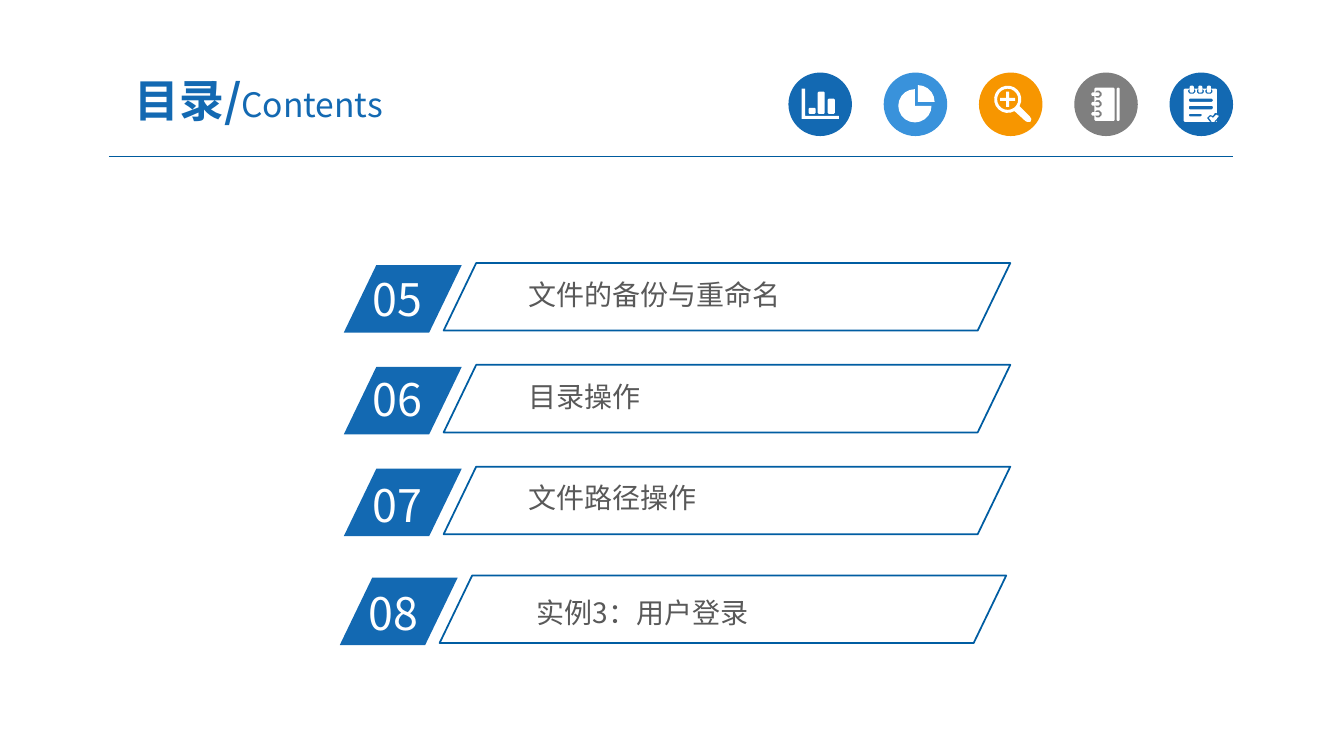
from math import cos, radians, sin

from lxml.etree import SubElement
from pptx import Presentation
from pptx.dml.color import RGBColor
from pptx.enum.shapes import MSO_CONNECTOR, MSO_SHAPE
from pptx.enum.text import MSO_ANCHOR, PP_ALIGN
from pptx.oxml.ns import qn
from pptx.util import Inches, Pt

FONT = "Noto Sans CJK SC"
COLORS = {name: RGBColor.from_string(code) for name, code in {
    "blue": "1369B2", "sky": "3992DB", "orange": "F79600", "gray": "7F7F7F",
    "white": "FFFFFF", "text": "595959", "outline": "005DA2", "rule": "005B9E",
}.items()}


def arc(cx, cy, r, start, end):
    """Points on a circle, angles in degrees, clockwise from the right."""
    steps = round((end - start) / 18)
    angles = [radians(start + (end - start) * n / steps) for n in range(steps + 1)]
    return [(cx + r * cos(a), cy + r * sin(a)) for a in angles]


def softened(x, y, w, h, c):
    """Outline of a rectangle with its corners cut by c."""
    x2, y2 = x + w, y + h
    return [(x + c, y), (x2 - c, y), (x2, y + c), (x2, y2 - c),
            (x2 - c, y2), (x + c, y2), (x, y2 - c), (x, y + c)]


prs = Presentation()
prs.slide_width, prs.slide_height = Inches(13.33), Inches(7.5)
s = prs.slides.add_slide(prs.slide_layouts[6])

# Header rule
rule = s.shapes.add_connector(MSO_CONNECTOR.STRAIGHT, Inches(1.08), Inches(1.55),
                              Inches(12.23), Inches(1.55))
rule.line.color.rgb = COLORS["rule"]
rule.line.width = Pt(0.75)
SubElement(rule._element.spPr, qn("a:effectLst"))

# Icon outlines in hundredths of an inch from the corner of their disc
bar_chart = [
    [(13, 16), (16.5, 16), (16.5, 43), (50, 43), (50, 46), (13, 46)],
    softened(20, 35, 7, 6, 1), softened(29, 19, 7, 22, 1), softened(39, 26, 7, 15, 1),
]
pie_chart = [
    [(34, 29)] + arc(34, 29, 16.5, 270, 360),
    [(31, 33)] + arc(31, 33, 16.5, 0, 270),
]
magnifier = [
    arc(28.5, 26.5, 13.5, 60, 390) + [(50, 43), (52, 46), (51, 49), (48, 49), (46, 48)],
    arc(28.5, 26.5, 10.5, 0, 360),
    [(27, 19), (30, 19), (30, 25), (36, 25), (36, 28), (30, 28),
     (30, 34), (27, 34), (27, 28), (21, 28), (21, 25), (27, 25)],
]
notebook = [softened(20, 15, 20, 33, 1), softened(42, 15, 3, 33, 1)]
for y in (21.5, 31, 41):
    notebook += [softened(20, y - 3.5, 7, 7, 2), softened(17, y - 1.75, 8, 3.5, 1)]
checklist = [
    softened(14, 16, 33, 33, 1),
    softened(19, 26, 24, 3, 1), softened(19, 33, 24, 3.5, 1), softened(19, 41, 13, 2.5, 1),
    [(47, 40), (45, 40), (43, 43), (40, 42), (37, 45), (40, 49), (47, 49)],
    [(39, 45), (41, 43.5), (43, 45), (46, 42), (49, 43), (44, 49), (42, 49)],
]
for x in (22, 30.5, 39):
    checklist += [softened(x - 3.5, 16, 7, 5, 1.5), softened(x - 2, 13, 4, 7, 1)]

icons = [("blue", bar_chart), ("sky", pie_chart), ("orange", magnifier),
         ("gray", notebook), ("blue", checklist)]
for col, (color, outlines) in enumerate(icons):
    left, top = Inches(7.82 + 0.945 * col), Inches(0.72)
    disc = s.shapes.add_shape(MSO_SHAPE.OVAL, left, top, Inches(0.63), Inches(0.63))
    builder = None
    for outline in outlines:
        pts = [(x * 100, y * 100) for x, y in outline]
        if builder is None:
            builder = s.shapes.build_freeform(*pts[0], scale=Inches(0.01) / 100)
        else:
            builder.move_to(*pts[0])
        builder.add_line_segments(pts[1:], close=True)
    icon = builder.convert_to_shape(left, top)
    for sp, fill in ((disc, color), (icon, "white")):
        sp.shadow.inherit = False
        sp.fill.solid()
        sp.fill.fore_color.rgb = COLORS[fill]
        sp.line.fill.background()

# Text boxes: left, top, width, height, side and top insets, runs
title_runs = [("目录/", {"size": Pt(32), "bold": True}, "blue"),
              ("Contents", {"size": Pt(24), "bold": False}, "blue")]
boxes = [(0.92, 0.63, 3.29, 0.72, 0.13, 0.07, title_runs)]

# Agenda rows: number, label, left, top, number drop, label offset
rows = [
    ("05", "文件的备份与重命名", 3.41, 2.63, 0.02, (1.76, 0.08)),
    ("06", "目录操作", 3.41, 3.64, 0, (1.76, 0.08)),
    ("07", "文件路径操作", 3.41, 4.65, 0.04, (1.76, 0.08)),
    ("08", "实例3：用户登录", 3.37, 5.73, 0.03, (1.88, 0.14)),
]
for number, label, left, top, drop, (dx, dy) in rows:
    for x, y, w in ((left, top, 1.17), (left + 0.99, top - 0.02, 5.62)):
        sp = s.shapes.add_shape(MSO_SHAPE.PARALLELOGRAM, Inches(x), Inches(y),
                                Inches(w), Inches(0.67))
        sp.adjustments[0] = 0.482
        sp.shadow.inherit = False
        if x == left:
            sp.fill.solid()
            sp.fill.fore_color.rgb = COLORS["blue"]
            sp.line.fill.background()
        else:
            sp.fill.background()
            sp.line.color.rgb = COLORS["outline"]
            sp.line.width = Pt(1.25)
    boxes += [
        (left + 0.19, top + drop, 1.12, 0.64, 0.1, 0.05, [(number, {"size": Pt(32)}, "white")]),
        (left + dx, top + dy, 4.12, 0.41, 0.07, 0.04, [(label, {"size": Pt(20)}, "text")]),
    ]

for left, top, width, height, side, edge, runs in boxes:
    tf = s.shapes.add_textbox(Inches(left), Inches(top), Inches(width), Inches(height)).text_frame
    tf.word_wrap = True
    tf.margin_left = tf.margin_right = Inches(side)
    tf.margin_top = tf.margin_bottom = Inches(edge)
    p = tf.paragraphs[0]
    if runs is title_runs:
        tf.vertical_anchor = MSO_ANCHOR.MIDDLE
        p.alignment = PP_ALIGN.CENTER
    for text, formats, color in runs:
        r = p.add_run()
        r.text = text
        for key, value in {"name": FONT, **formats}.items():
            setattr(r.font, key, value)
        r.font.color.rgb = COLORS[color]
        SubElement(r._r.rPr, qn("a:ea"), typeface=FONT)

prs.save("out.pptx")
